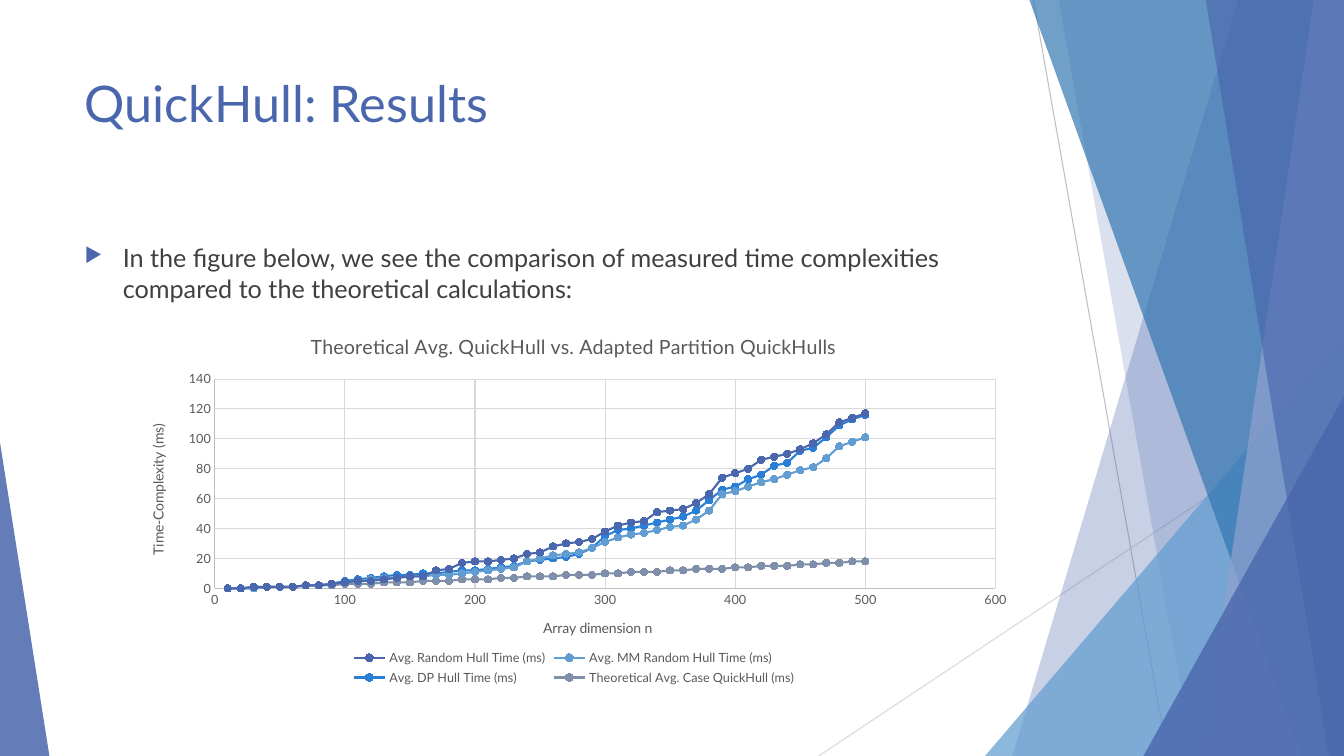
from collections import namedtuple

from lxml import etree
from pptx import Presentation
from pptx.chart.data import XyChartData
from pptx.dml.color import RGBColor
from pptx.enum.chart import (XL_CHART_TYPE, XL_LEGEND_POSITION, XL_MARKER_STYLE,
                             XL_TICK_MARK)
from pptx.enum.shapes import MSO_CONNECTOR, MSO_SHAPE
from pptx.enum.text import MSO_ANCHOR
from pptx.oxml import parse_xml
from pptx.oxml.ns import nsdecls, qn
from pptx.util import Inches, Pt

SCATTER = XL_CHART_TYPE.XY_SCATTER_LINES
BOTTOM = XL_LEGEND_POSITION.BOTTOM
CIRCLE = XL_MARKER_STYLE.CIRCLE
NO_TICK = XL_TICK_MARK.NONE
STRAIGHT = MSO_CONNECTOR.STRAIGHT
TRIANGLE = MSO_SHAPE.ISOSCELES_TRIANGLE
TOP = MSO_ANCHOR.TOP

FONT = "Lato"
BLUE, SKY, DEEP, PALE = "4A66AC", "629DD1", "3477B2", "90A2CF"
GRAY, LIGHT_GRAY, TEXT_GRAY = "BFBFBF", "D9D9D9", "595959"

Box = namedtuple("Box", "left top width height")

SIZES = range(10, 501, 10)
TIMES = [
    ("Avg. Random Hull Time (ms)", BLUE,
     [0, 0, 1, 1, 1, 1, 2, 2, 3, 4, 5, 5, 6, 7, 8, 8, 12, 13, 17, 18, 18, 19, 20, 23, 24,
      28, 30, 31, 33, 38, 42, 44, 45, 51, 52, 53, 57, 63, 74, 77, 80, 86, 88, 90, 93, 97,
      103, 111, 114, 117]),
    ("Avg. MM Random Hull Time (ms)", SKY,
     [0, 0, 0, 1, 1, 1, 2, 2, 3, 4, 5, 6, 7, 7, 8, 8, 9, 9, 10, 11, 12, 13, 14, 18, 20,
      22, 23, 24, 27, 31, 34, 36, 37, 39, 41, 42, 46, 52, 63, 65, 68, 71, 73, 76, 79, 81,
      87, 95, 98, 101]),
    ("Avg. DP Hull Time (ms)", "297FD5",
     [0, 0, 0, 1, 1, 1, 2, 2, 3, 5, 6, 7, 8, 9, 9, 10, 10, 11, 12, 12, 13, 14, 15, 18, 19,
      20, 21, 23, 27, 35, 39, 40, 42, 44, 46, 48, 52, 59, 66, 68, 73, 76, 82, 84, 92, 94,
      101, 109, 113, 116]),
    ("Theoretical Avg. Case QuickHull (ms)", "7F8FA9",
     [0, 0, 1, 1, 1, 1, 2, 2, 2, 3, 3, 3, 4, 4, 4, 5, 5, 5, 6, 6, 6, 7, 7, 8, 8, 8, 9, 9,
      9, 10, 10, 11, 11, 11, 12, 12, 13, 13, 13, 14, 14, 15, 15, 15, 16, 16, 17, 17, 18,
      18]),
]


def color(value):
    return RGBColor.from_string(value)


def style_line(line, value, width=0.75):
    line.color.rgb = color(value)
    line.width = Pt(width)


def style_font(font, size, value):
    font.name = FONT
    font.size = Pt(size)
    font.bold = False
    font.color.rgb = color(value)


def paint(shape, value, opacity):
    shape.shadow.inherit = False
    shape.fill.solid()
    shape.fill.fore_color.rgb = color(value)
    fill = shape.fill._xPr.find(qn("a:solidFill"))
    etree.SubElement(fill[0], qn("a:alpha"), val=str(opacity * 1000))
    shape.line.fill.background()


def add_ray(page, start, end, value):
    ray = page.shapes.add_connector(STRAIGHT, *map(Inches, start + end))
    style_line(ray.line, value)
    etree.SubElement(ray._element.spPr, qn("a:effectLst"))


def add_facet(page, box, top_reach, bottom_reach, value, opacity):
    right, bottom = box.left + box.width, box.top + box.height
    corners = [(right - top_reach, box.top), (right, box.top),
               (right, bottom), (right - bottom_reach, bottom)]
    points = [(Inches(x), Inches(y)) for x, y in corners]
    builder = page.shapes.build_freeform(*points[0], scale=1.0)
    builder.add_line_segments(points[1:], close=True)
    paint(builder.convert_to_shape(), value, opacity)


def add_wedge(page, box, width, height, value, opacity, on_right=True):
    left = box.left + box.width - width if on_right else box.left
    top = box.top + box.height - height
    wedge = page.shapes.add_shape(TRIANGLE, *map(Inches, (left, top, width, height)))
    wedge.adjustments[0] = 1 if on_right else 0
    paint(wedge, value, opacity)


def add_backdrop(page, box):
    right, bottom = box.left + box.width, box.top + box.height
    add_ray(page, (right - 3.08, box.top), (right - 1.75, bottom), GRAY)
    add_ray(page, (right, bottom - 3.47), (right - 5.21, bottom), LIGHT_GRAY)
    add_facet(page, box, 1.05, 3.29, BLUE, 30)
    add_facet(page, box, 2.83, 1.5, BLUE, 20)
    add_wedge(page, box, 3.56, 4.17, SKY, 72)
    add_facet(page, box, 3.12, 0.42, DEEP, 70)
    add_facet(page, box, 0.3, 1.41, PALE, 70)
    add_facet(page, box, 1.37, 0.15, BLUE, 65)
    add_wedge(page, box, 1.99, 3.57, BLUE, 80)
    add_wedge(page, box, 0.49, 3.11, BLUE, 85, on_right=False)


def add_text(page, text, box, size, value, bullet=None, indent=0.38):
    frame = page.shapes.add_textbox(*map(Inches, box)).text_frame
    frame.word_wrap = True
    frame.vertical_anchor = TOP
    para = frame.paragraphs[0]
    span = para.add_run()
    span.text = text
    style_font(span.font, size, value)
    if bullet:
        properties = para._p.get_or_add_pPr()
        properties.set("marL", str(Inches(indent)))
        properties.set("indent", str(-Inches(indent)))
        mark_color = etree.SubElement(properties, qn("a:buClr"))
        etree.SubElement(mark_color, qn("a:srgbClr"), val=BLUE)
        etree.SubElement(properties, qn("a:buSzPct"), val="80000")
        etree.SubElement(properties, qn("a:buChar"), char=bullet)


def set_title(owner, text, size, rotation=0):
    frame = (owner.chart_title if hasattr(owner, "chart_title")
             else owner.axis_title).text_frame
    frame.text = text
    style_font(frame.paragraphs[0].runs[0].font, size, TEXT_GRAY)
    frame._txBody.bodyPr.set("rot", str(rotation * 60000))


def style_axis(axis, title, maximum, step, rotation=0):
    axis.minimum_scale, axis.maximum_scale, axis.major_unit = 0, maximum, step
    axis.major_tick_mark = axis.minor_tick_mark = NO_TICK
    axis.has_major_gridlines = True
    style_line(axis.major_gridlines.format.line, LIGHT_GRAY)
    style_line(axis.format.line, GRAY)
    style_font(axis.tick_labels.font, 9, TEXT_GRAY)
    axis.tick_labels.number_format = "General"
    axis.tick_labels.number_format_is_linked = False
    set_title(axis, title, 10, rotation)


def place_plot(chart, x, y, w, h):
    parts = "".join(f'<c:{key} val="{value}"/>' for key, value in
                    [("layoutTarget", "inner"), ("xMode", "edge"), ("yMode", "edge"),
                     ("x", x), ("y", y), ("w", w), ("h", h)])
    layout = parse_xml(f'<c:layout {nsdecls("c")}><c:manualLayout>{parts}'
                       '</c:manualLayout></c:layout>')
    plot_area = chart._chartSpace.chart.plotArea
    for old in plot_area.findall(qn("c:layout")):
        plot_area.remove(old)
    plot_area.insert(0, layout)


def add_time_chart(page, box):
    data = XyChartData()
    for name, _, times in TIMES:
        series = data.add_series(name)
        for size, time in zip(SIZES, times):
            series.add_data_point(size, time)
    chart = page.shapes.add_chart(SCATTER, *map(Inches, box), data).chart
    style_font(chart.font, 10, "000000")
    set_title(chart, "Theoretical Avg. QuickHull vs. Adapted Partition QuickHulls", 14)
    style_axis(chart.category_axis, "Array dimension n", 600, 100)
    style_axis(chart.value_axis, "Time-Complexity (ms)", 140, 20, rotation=-90)
    chart.has_legend = True
    chart.legend.position = BOTTOM
    chart.legend.include_in_layout = False
    style_font(chart.legend.font, 9, TEXT_GRAY)
    chart.plots[0].vary_by_categories = False
    for series, (_, value, _) in zip(chart.plots[0].series, TIMES):
        series.smooth = False
        style_line(series.format.line, value, 1.5)
        series.marker.style = CIRCLE
        series.marker.size = 5
        series.marker.format.fill.solid()
        series.marker.format.fill.fore_color.rgb = color(value)
        style_line(series.marker.format.line, value)
    place_plot(chart, 0.1, 0.17, 0.87, 0.56)


def add_results(page, box):
    add_text(page, "QuickHull: Results", Box(box.left, box.top, box.width, 1.44), 36, BLUE)
    add_text(page, "In the figure below, we see the comparison of measured time "
             "complexities compared to the theoretical calculations:",
             Box(box.left, box.top + 1.69, box.width, 4.24), 18, "404040", bullet="▶")
    add_time_chart(page, Box(box.left + 0.5, box.top + 2.46, box.width - 0.5, 3.71))


deck = Presentation()
deck.slide_width, deck.slide_height = Inches(13.33), Inches(7.5)
slide = deck.slides.add_slide(deck.slide_layouts[6])
add_backdrop(slide, Box(0, 0, 13.33, 7.5))
add_results(slide, Box(0.74, 0.67, 9.4, 6.17))
deck.save("out.pptx")
